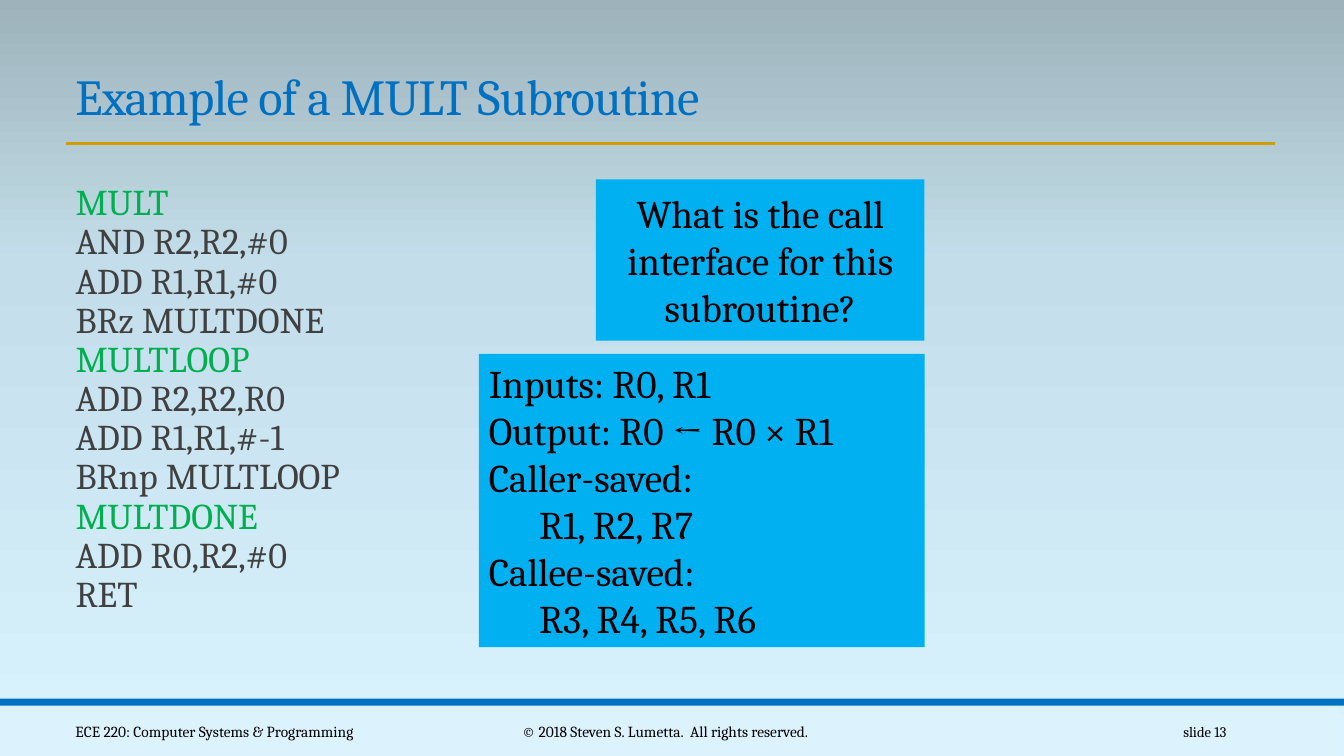
from copy import deepcopy

from lxml.etree import SubElement
from pptx import Presentation
from pptx.dml.color import RGBColor
from pptx.enum.shapes import MSO_CONNECTOR, MSO_SHAPE
from pptx.enum.text import MSO_ANCHOR, PP_ALIGN
from pptx.oxml.ns import qn
from pptx.util import Inches, Pt

WIDTH, HEIGHT = 13.33, 7.5
FONT = "Cambria"
BLUE, SKY, GOLD = "0070C0", "00B0F0", "D09E00"
BLACK, GREY, GREEN = "000000", "404040", "00B050"
BACKGROUND = [(0, "DAF4FF"), (0.65, "C3DEEA"), (1, "9DB2BA")]

MARGIN = 4.88
PANEL_RIGHT = 68.79
CONTENT_TOP = 23.73
FOOTER_TOP, FOOTER_HEIGHT = 94.13, 5.33

CODE = [
    "MULT", "AND R2,R2,#0", "ADD R1,R1,#0", "BRz MULTDONE",
    "MULTLOOP", "ADD R2,R2,R0", "ADD R1,R1,#-1", "BRnp MULTLOOP",
    "MULTDONE", "ADD R0,R2,#0", "RET",
]
LABELS = {"MULT", "MULTLOOP", "MULTDONE"}
QUESTION = ["What is the call interface for this subroutine?"]
ANSWER = [
    "Inputs: R0, R1", "Output: R0 ← R0 × R1", "Caller-saved:",
    "\tR1, R2, R7", "Callee-saved:", "\tR3, R4, R5, R6",
]


def color(code):
    return RGBColor.from_string(code)


def across(percent):
    return Inches(WIDTH * percent / 100)


def down(percent):
    return Inches(HEIGHT * percent / 100)


def place(left, top, width, height):
    return across(left), down(top), across(width), down(height)


def paint_background(slide):
    fill = slide.background.fill
    fill.gradient()
    fill.gradient_angle = 90
    stop_list = next(slide._element.iter(qn("a:gsLst")))
    stop_list.append(deepcopy(stop_list[-1]))
    for stop, (position, code) in zip(fill.gradient_stops, BACKGROUND):
        stop.position = position
        stop.color.rgb = color(code)


def add_block(slide, area, code):
    block = slide.shapes.add_shape(MSO_SHAPE.RECTANGLE, *place(*area))
    block.shadow.inherit = False
    block.fill.solid()
    block.fill.fore_color.rgb = color(code)
    block.line.fill.background()
    return block


def add_rule(slide, left, right, height):
    rule = slide.shapes.add_connector(
        MSO_CONNECTOR.STRAIGHT, across(left), down(height), across(right), down(height))
    rule.line.color.rgb = color(GOLD)
    rule.line.width = Pt(2)
    SubElement(rule._element.spPr, qn("a:effectLst"))


def write(frame, lines, size, align=PP_ALIGN.LEFT, anchor=MSO_ANCHOR.MIDDLE, spacing=1.0):
    frame.word_wrap = True
    frame.vertical_anchor = anchor
    runs = []
    for number, (line, code) in enumerate(lines):
        paragraph = frame.add_paragraph() if number else frame.paragraphs[0]
        paragraph.alignment = align
        paragraph.line_spacing = spacing
        run = paragraph.add_run()
        run.text = line
        run.font.size = Pt(size)
        run.font.name = FONT
        run.font.color.rgb = color(code)
        runs.append(run)
    return runs


def add_text(slide, area, lines, size, **layout):
    text_area = slide.shapes.add_textbox(*place(*area))
    return write(text_area.text_frame, lines, size, **layout)


def add_title(slide, title):
    runs = add_text(slide, (MARGIN, 7.87, 90.1, 9.47), [(title, BLUE)], 36,
                    anchor=MSO_ANCHOR.BOTTOM, spacing=0.85)
    runs[0].font._element.set("spc", "-50")
    add_rule(slide, MARGIN, 94.9, 18.93)


def add_code(slide):
    listing = [(line, GREEN if line in LABELS else GREY) for line in CODE]
    add_text(slide, (MARGIN, CONTENT_TOP, PANEL_RIGHT - MARGIN, 61.87), listing, 25.9,
             anchor=MSO_ANCHOR.TOP, spacing=0.9)


def add_panel(slide, left, top, height, lines, align):
    panel = add_block(slide, (left, top, PANEL_RIGHT - left, height), SKY)
    write(panel.text_frame, [(line, BLACK) for line in lines], 28, align=align)


def add_footer(slide):
    entries = [
        (30.23, 38.56, "© 2018 Steven S. Lumetta.  All rights reserved.", 11, PP_ALIGN.CENTER),
        (81.25, 10.73, "slide 13", 10.5, PP_ALIGN.RIGHT),
        (MARGIN, 27.16, "ECE 220: Computer Systems & Programming", 11, PP_ALIGN.LEFT),
    ]
    for left, width, text, size, align in entries:
        add_text(slide, (left, FOOTER_TOP, width, FOOTER_HEIGHT), [(text, BLACK)], size,
                 align=align)


def main():
    deck = Presentation()
    deck.slide_width, deck.slide_height = Inches(WIDTH), Inches(HEIGHT)
    slide = deck.slides.add_slide(deck.slide_layouts[6])
    paint_background(slide)
    add_block(slide, (-0.45, 93.33, 100, 6.67), "DCF3FD")
    add_block(slide, (0, 92.4, 100, 0.93), BLUE)
    add_title(slide, "Example of a MULT Subroutine")
    add_code(slide)
    add_footer(slide)
    add_panel(slide, 44.34, CONTENT_TOP, 21.33, QUESTION, PP_ALIGN.CENTER)
    add_panel(slide, 35.63, 46.8, 38.8, ANSWER, PP_ALIGN.LEFT)
    deck.save("out.pptx")


if __name__ == "__main__":
    main()
